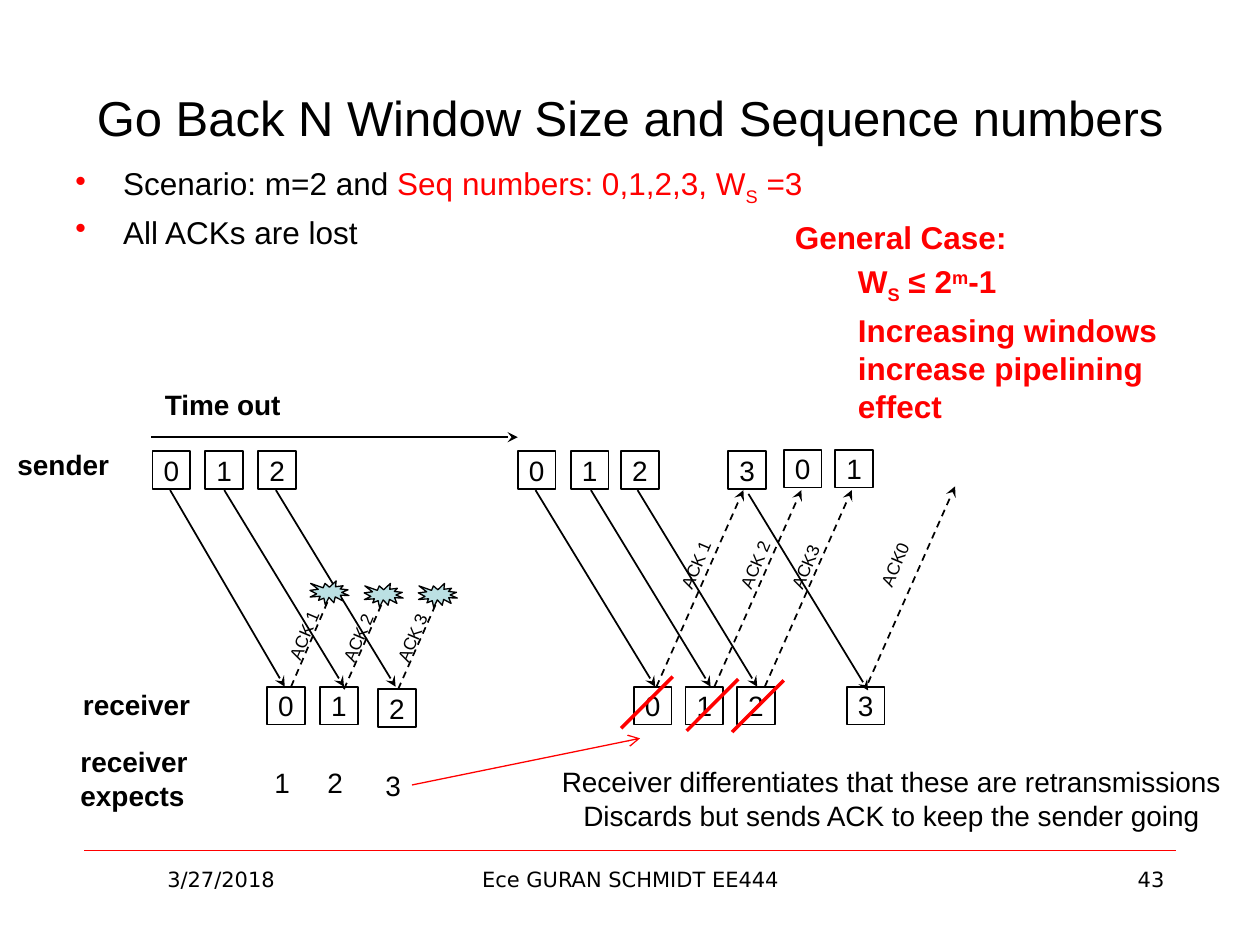
from dataclasses import dataclass

from lxml import etree
from pptx import Presentation
from pptx.dml.color import RGBColor
from pptx.enum import dml, shapes, text
from pptx.oxml import ns
from pptx.util import Inches, Pt


@dataclass(frozen=True)
class Theme:
    """Colours, fonts and type sizes of the slide."""
    black: str = "000000"
    white: str = "FFFFFF"
    red: str = "FF0000"
    seal: str = "BBE0E3"
    body: str = "Arial"
    footer: str = "DejaVu Sans"
    title_size: int = 28
    bullet_size: int = 18
    label_size: int = 16
    footer_size: int = 12
    ack_size: int = 10


THEME = Theme()
LEFT, CENTER, RIGHT = text.PP_ALIGN.LEFT, text.PP_ALIGN.CENTER, text.PP_ALIGN.RIGHT
TOP, MIDDLE = text.MSO_ANCHOR.TOP, text.MSO_ANCHOR.MIDDLE
SENDER_Y, RECEIVER_Y, EXPECTS_Y = 3.58, 5.45, 6.06
SEND_END = 3.89
FRAME = 0.3


def colour(code):
    """Turn a hex code into a colour."""
    return RGBColor.from_string(code)


def add_bullet(paragraph):
    """Give a paragraph a hanging red bullet."""
    properties = paragraph._p.get_or_add_pPr()
    properties.set("marL", str(Inches(0.38)))
    properties.set("indent", str(-Inches(0.38)))
    bullet_colour = etree.SubElement(properties, ns.qn("a:buClr"))
    etree.SubElement(bullet_colour, ns.qn("a:srgbClr"), val=THEME.red)
    etree.SubElement(properties, ns.qn("a:buChar"), char="•")


def write(frame, paragraphs, size=THEME.label_size, font=THEME.body, ink=THEME.black,
          bold=False, align=LEFT, anchor=TOP, wrap=False, grow=False,
          bullets=False, space=0, indent=0):
    """Fill a text frame; a run is (text, ink, baseline percent)."""
    frame.word_wrap = wrap
    frame.vertical_anchor = anchor
    if grow:
        frame.auto_size = text.MSO_AUTO_SIZE.SHAPE_TO_FIT_TEXT
    for index, runs in enumerate(paragraphs):
        paragraph = frame.add_paragraph() if index else frame.paragraphs[0]
        paragraph.alignment = align
        if index and space:
            paragraph.space_before = Pt(space)
        if index and indent:
            paragraph._p.get_or_add_pPr().set("marL", str(Inches(indent)))
        if bullets:
            add_bullet(paragraph)
        for words, run_ink, baseline in [(runs, ink, 0)] if isinstance(runs, str) else runs:
            run = paragraph.add_run()
            run.text = words
            run.font.name, run.font.size, run.font.bold = font, Pt(size), bold
            run.font.color.rgb = colour(run_ink)
            if baseline:
                run._r.get_or_add_rPr().set("baseline", str(baseline * 1000))


def add_label(slide, paragraphs, box, rotation=0, **style):
    """Place a text box."""
    label = slide.shapes.add_textbox(*map(Inches, box))
    label.rotation = rotation
    write(label.text_frame, paragraphs, **style)


def add_shape(slide, preset, box, fill, line_width=0):
    """Place a filled preset shape, outlined when a width is given."""
    shape = slide.shapes.add_shape(preset, *map(Inches, box))
    shape.shadow.inherit = False
    shape.fill.solid()
    shape.fill.fore_color.rgb = colour(fill)
    if line_width:
        shape.line.color.rgb = colour(THEME.black)
        shape.line.width = Pt(line_width)
    else:
        shape.line.fill.background()
    return shape


def add_frame(slide, number, left, top, line_width=1):
    """Place a numbered square."""
    square = add_shape(slide, shapes.MSO_SHAPE.RECTANGLE, (left, top, FRAME, FRAME),
                       THEME.white, line_width)
    write(square.text_frame, [number], align=CENTER, anchor=MIDDLE)


def add_line(slide, start, end, ink=THEME.black, width=1, head=None, dashed=False):
    """Draw a straight line with an optional arrowhead at its end."""
    line = slide.shapes.add_connector(shapes.MSO_CONNECTOR.STRAIGHT,
                                      *map(Inches, (*start, *end)))
    line.line.color.rgb = colour(ink)
    line.line.width = Pt(width)
    if dashed:
        line.line.dash_style = dml.MSO_LINE.DASH
    if head:
        etree.SubElement(line.line._get_or_add_ln(), ns.qn("a:tailEnd"), type=head)
    etree.SubElement(line._element.spPr, ns.qn("a:effectLst"))


def add_footer(slide):
    """Add the rule and the three footer texts."""
    add_line(slide, (0.67, 6.75), (9.33, 6.75), THEME.red, 0.25)
    for words, left, width, align in (("3/27/2018", 0.67, 2.17, CENTER),
                                      ("Ece GURAN SCHMIDT EE444", 3.42, 3.17, CENTER),
                                      ("43", 7.17, 2.17, RIGHT)):
        add_label(slide, [words], (left, 6.83, width, 0.52), size=THEME.footer_size,
                  font=THEME.footer, align=align, wrap=True)


def add_frames(slide):
    """Add the sender and receiver frames and the expected numbers."""
    rows = (
        (SENDER_Y, 1, (("0", 1.21), ("1", 1.63), ("2", 2.05), ("0", 4.11),
                       ("1", 4.53), ("2", 4.93), ("3", 5.78))),
        (SENDER_Y - 0.01, 1, (("0", 6.22), ("1", 6.63))),
        (RECEIVER_Y, 1, (("0", 2.12), ("1", 2.54), ("0", 5.03),
                         ("1", 5.44), ("2", 5.85), ("3", 6.72))),
        (RECEIVER_Y + 0.02, 1, (("2", 3.0),)),
        (EXPECTS_Y, 0, (("1", 2.09), ("2", 2.51))),
        (EXPECTS_Y + 0.02, 0, (("3", 2.97),)),
    )
    for top, line_width, frames in rows:
        for number, left in frames:
            add_frame(slide, number, left, top, line_width)


def add_transmissions(slide):
    """Draw the time-out span and the data arrows."""
    add_line(slide, (1.2, 3.47), (4.11, 3.47), head="stealth")
    for left, run, drop in ((1.35, 0.91, 0), (1.78, 0.95, 0), (2.19, 0.95, 0),
                            (4.25, 0.95, 0), (4.69, 0.95, 0), (5.06, 0.95, 0),
                            (5.94, 0.95, 0.03)):
        add_line(slide, (left, SEND_END + drop), (left + run, RECEIVER_Y + drop),
                 head="stealth")


def add_acks(slide):
    """Draw the lost and the delivered acknowledgements with their labels."""
    lost = (("ACK 1", 2.31, 5.45, 0.34, 2.11, 2.46),
            ("ACK 2", 2.73, 5.47, 0.35, 2.54, 2.89),
            ("ACK 3", 3.16, 5.47, 0.35, 2.97, 3.32))
    delivered = (("ACK 1", 5.21, 5.45, 5.22, 4.34, 0.61),
                 ("ACK 2", 5.67, 5.45, 5.69, 4.34, 0.61),
                 ("ACK3", 6.07, 5.45, 6.11, 4.36, 0.57),
                 ("ACK0", 6.89, 5.42, 6.82, 4.34, 0.57))
    labels = []
    for name, left, bottom, run, label_left, seal_left in lost:
        add_line(slide, (left, bottom), (left + run, bottom - 0.79),
                 head="stealth", dashed=True)
        add_shape(slide, shapes.MSO_SHAPE.EXPLOSION1,
                  (seal_left, bottom - 0.84, 0.31, 0.19), THEME.seal, 0.75)
        labels.append((name, label_left, bottom - 0.55, 0.61))
    for name, left, bottom, *place in delivered:
        add_line(slide, (left, bottom), (left + 0.69, bottom - 1.56),
                 head="stealth", dashed=True)
        labels.append((name, *place))
    for name, left, top, width in labels:
        add_label(slide, [name], (left, top, width, 0.27), rotation=293,
                  size=THEME.ack_size, grow=True)


def add_discards(slide):
    """Strike out the retransmitted frames and explain them."""
    for left, top in ((4.93, 5.37), (5.45, 5.39), (5.81, 5.4)):
        add_line(slide, (left + 0.41, top), (left, top + 0.41), THEME.red, 2)
    add_line(slide, (3.27, 6.23), (5.08, 5.86), THEME.red, 0.75, head="arrow")
    add_label(slide, ["Receiver differentiates that these are retransmissions ",
                      "Discards but sends ACK to keep the sender going"],
              (4.35, 5.96, 5.45, 0.75), align=CENTER, anchor=MIDDLE)


def add_texts(slide):
    """Add the title, the scenario, the general case and the row names."""
    red = THEME.red
    add_label(slide, ["Go Back N Window Size and Sequence numbers"], (0.5, 0.3, 9, 1.25),
              size=THEME.title_size, align=CENTER, anchor=MIDDLE, wrap=True)
    scenario = [("Scenario: m=2 and ", THEME.black, 0),
                ("Seq numbers: 0,1,2,3, W", red, 0), ("S", red, -25), (" =3", red, 0)]
    add_label(slide, [scenario, "All ACKs are lost"], (0.5, 1.25, 8.83, 1.46),
              size=THEME.bullet_size, wrap=True, bullets=True, space=3.6)
    limit = [("W", red, 0), ("S", red, -25), (" ≤ 2", red, 0), ("m", red, 30), ("-1", red, 0)]
    add_label(slide, ["General Case:", limit, "Increasing windows increase pipelining effect"],
              (6.21, 1.68, 3.45, 1.72), size=THEME.bullet_size, ink=red, bold=True,
              wrap=True, grow=True, space=3.6, indent=0.5)
    for lines, box in ((["Time out"], (1.21, 3.03, 1.14, 0.37)),
                       (["sender"], (0.04, 3.5, 0.93, 0.37)),
                       (["receiver"], (0.56, 5.41, 1.05, 0.37)),
                       (["receiver", "expects"], (0.54, 5.86, 1.13, 0.64))):
        add_label(slide, lines, box, bold=True, grow=True)


def main():
    """Build the slide and save it."""
    deck = Presentation()
    deck.slide_width, deck.slide_height = Inches(10), Inches(7.5)
    slide = deck.slides.add_slide(deck.slide_layouts[6])
    for add_part in (add_footer, add_frames, add_transmissions, add_acks,
                     add_discards, add_texts):
        add_part(slide)
    deck.save("out.pptx")


if __name__ == "__main__":
    main()
